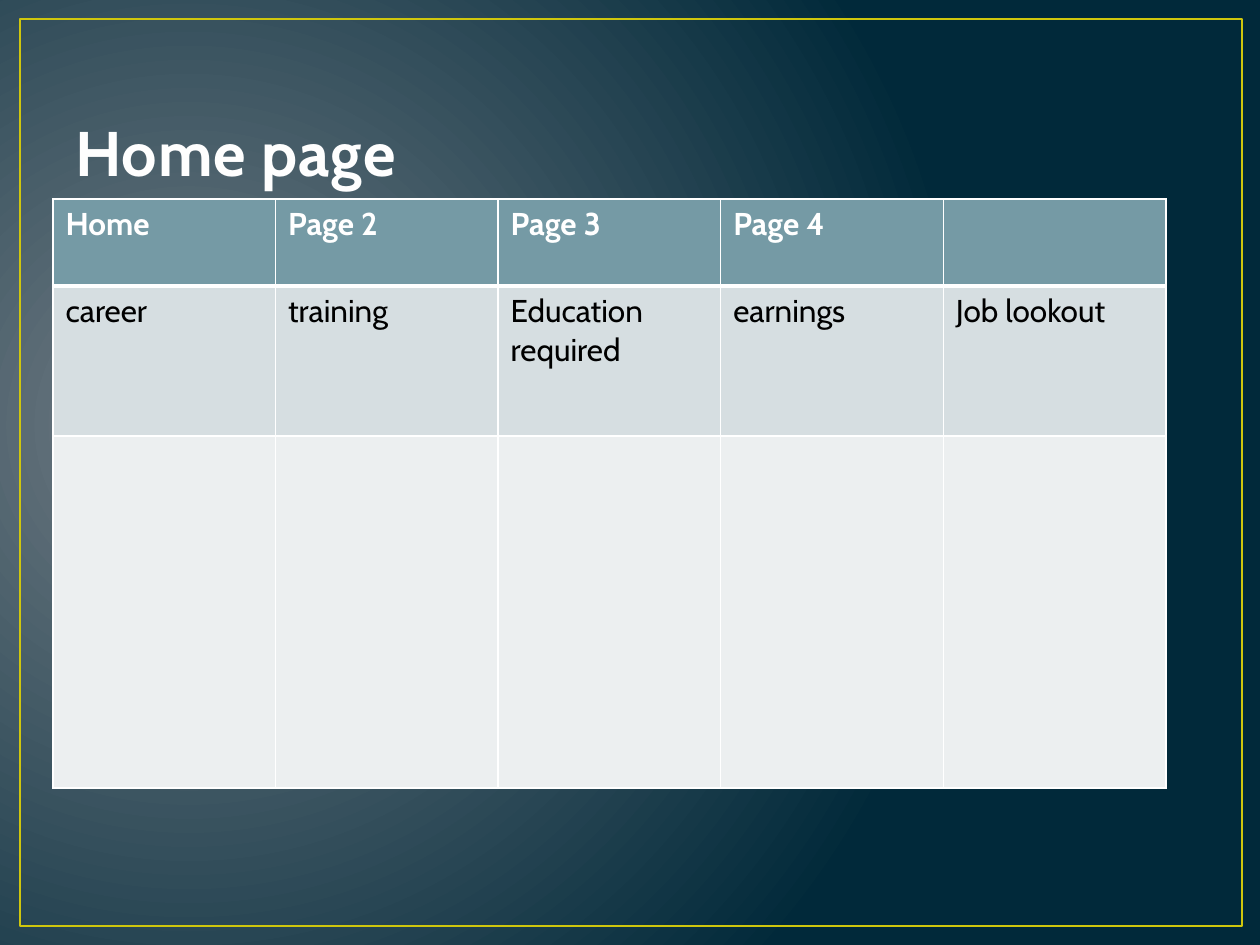
import pptx
import pptx.util
import pptx.dml.color
import pptx.enum.shapes
import pptx.enum.text
import pptx.oxml.ns
import lxml.etree

PIXEL = 914400 // 126
RGBColor = pptx.dml.color.RGBColor
GLOW = RGBColor(0x71, 0x7C, 0x84)
NAVY = RGBColor(0x01, 0x29, 0x3A)
YELLOW = RGBColor(0xCF, 0xC6, 0x0D)
TITLE_WHITE = RGBColor(0xFE, 0xFE, 0xFE)
WHITE = RGBColor(0xFF, 0xFF, 0xFF)
BLACK = RGBColor(0, 0, 0)
TEAL = RGBColor(0x75, 0x9A, 0xA5)
GREY = RGBColor(0xD6, 0xDE, 0xE1)
PALE = RGBColor(0xEC, 0xEF, 0xF0)
qn = pptx.oxml.ns.qn


def write(text_frame, text, size=18, color=BLACK, bold=False, spacing=None):
    run = text_frame.paragraphs[0].add_run()
    run.text = text
    run.font.name = "Cabin"
    run.font.size = pptx.util.Pt(size)
    run.font.bold = bold
    run.font.color.rgb = color
    if spacing is not None:
        run.font._element.set("spc", str(int(spacing * 100)))


def add_border(cell, side, points):
    properties = cell._tc.get_or_add_tcPr()
    line = lxml.etree.SubElement(properties, qn("a:ln" + side), w=str(int(points * 12700)))
    fill = lxml.etree.SubElement(line, qn("a:solidFill"))
    lxml.etree.SubElement(fill, qn("a:srgbClr"), val=str(WHITE))


presentation = pptx.Presentation()
presentation.slide_width = 1260 * PIXEL
presentation.slide_height = 945 * PIXEL
slide = presentation.slides.add_slide(presentation.slide_layouts[6])

background = slide.background.fill
background.gradient()
for stop, color in zip(background.gradient_stops, (GLOW, NAVY)):
    stop.color.rgb = color
gradient = slide.element.find(".//" + qn("a:gradFill"))
gradient.remove(gradient.find(qn("a:lin")))
circle = lxml.etree.SubElement(gradient, qn("a:path"), {"path": "circle"})
lxml.etree.SubElement(circle, qn("a:fillToRect"), l="15000", t="50000", r="85000", b="60000")

frame = slide.shapes.add_shape(
    pptx.enum.shapes.MSO_SHAPE.RECTANGLE, 20 * PIXEL, 19 * PIXEL, 1222 * PIXEL, 907 * PIXEL)
frame.shadow.inherit = False
frame.fill.background()
frame.line.color.rgb = YELLOW
frame.line.width = pptx.util.Pt(1.5)

title = slide.shapes.add_textbox(63 * PIXEL, 38 * PIXEL, 1134 * PIXEL, 157 * PIXEL)
title.text_frame.word_wrap = True
title.text_frame.vertical_anchor = pptx.enum.text.MSO_ANCHOR.BOTTOM
write(title.text_frame, "Home page", size=36, color=TITLE_WHITE, bold=True, spacing=0.5)

rows = [
    (87, TEAL, WHITE, ["Home", "Page 2", "Page 3", "Page 4", ""]),
    (150, GREY, BLACK, ["career", "training", "Education required", "earnings", "Job lookout"]),
    (352, PALE, BLACK, [""] * 5),
]
table_height = sum(row[0] for row in rows)
table = slide.shapes.add_table(
    len(rows), 5, 53 * PIXEL, 199 * PIXEL, 1113 * PIXEL, table_height * PIXEL).table
table.horz_banding = False
for row_index, (height, fill_color, text_color, texts) in enumerate(rows):
    table.rows[row_index].height = height * PIXEL
    for column_index, text in enumerate(texts):
        cell = table.cell(row_index, column_index)
        for side in "LRTB":
            under_header = (row_index, side) in ((0, "B"), (1, "T"))
            add_border(cell, side, 3 if under_header else 1)
        cell.fill.solid()
        cell.fill.fore_color.rgb = fill_color
        if text:
            write(cell.text_frame, text, color=text_color, bold=row_index == 0)

presentation.save("out.pptx")
